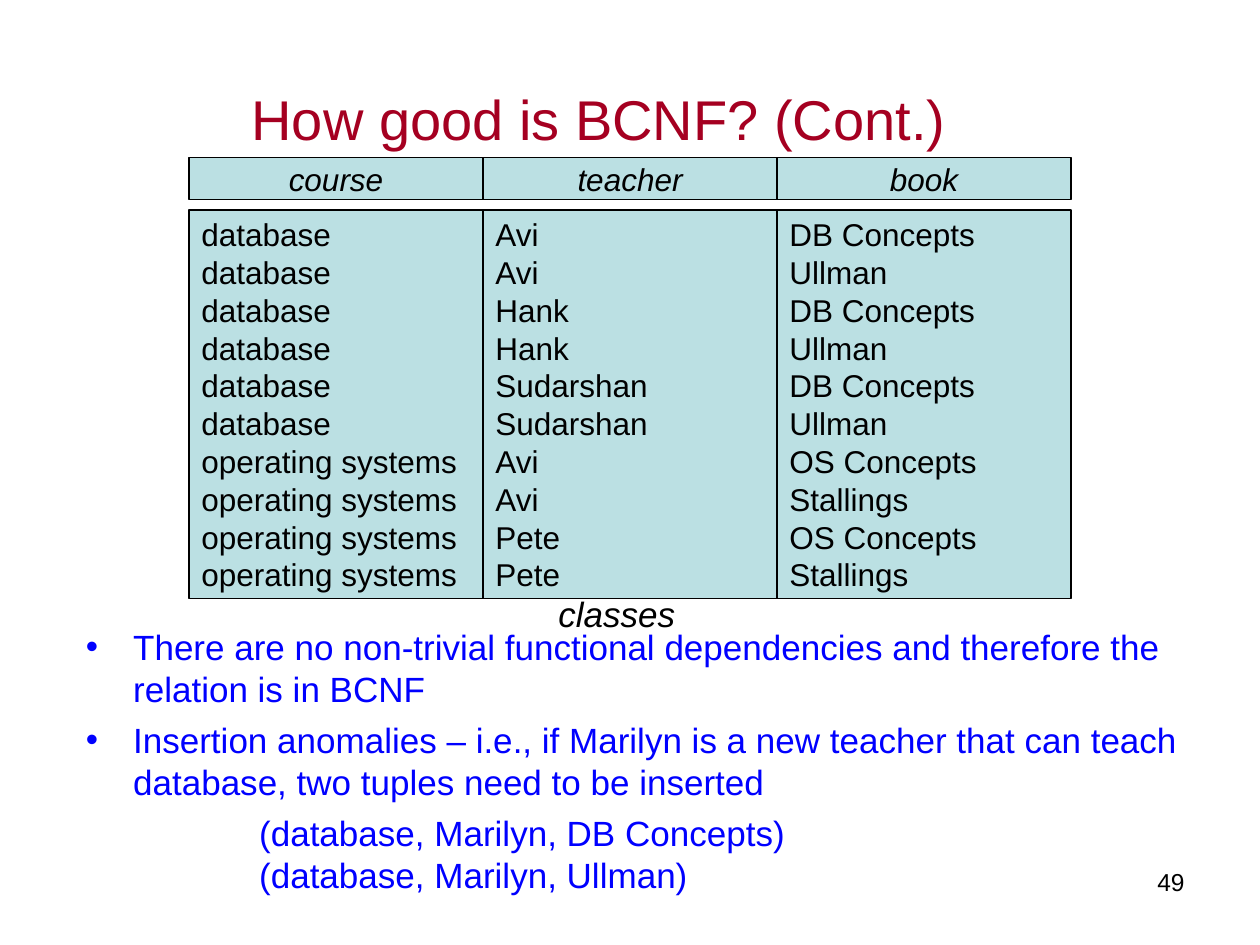
from lxml import etree
from pptx import Presentation
from pptx.dml.color import RGBColor
from pptx.enum import shapes, text
from pptx.oxml.ns import qn
from pptx.util import Pt

BLACK = RGBColor(0x00, 0x00, 0x00)
BLUE = RGBColor(0x00, 0x00, 0xFF)
CRIMSON = RGBColor(0xA5, 0x00, 0x21)
PALE_TEAL = RGBColor(0xBB, 0xE0, 0xE3)
LEFT, CENTER, RIGHT = text.PP_ALIGN.LEFT, text.PP_ALIGN.CENTER, text.PP_ALIGN.RIGHT

TITLE = "How good is BCNF? (Cont.)"
COLUMNS = {
    "course": ["database"] * 6 + ["operating systems"] * 4,
    "teacher": ["Avi", "Avi", "Hank", "Hank", "Sudarshan", "Sudarshan",
                "Avi", "Avi", "Pete", "Pete"],
    "book": ["DB Concepts", "Ullman"] * 3 + ["OS Concepts", "Stallings"] * 2,
}
RELATION = "classes"
BULLETS = [
    "There are no non-trivial functional dependencies and therefore the "
    "relation is in BCNF",
    "Insertion anomalies – i.e., if Marilyn is a new teacher that can teach "
    "database, two tuples need to be inserted",
]
TUPLES = ["(database, Marilyn, DB Concepts)", "(database, Marilyn, Ullman)"]
PAGE = "49"

TABLE_LEFT, COLUMN_WIDTH = 108, 168
HEADER_TOP, HEADER_HEIGHT = 90, 24
ROWS_TOP, ROWS_HEIGHT = 120, 222
BULLET_INDENT, TUPLE_INDENT = 27, 99
LINE_FACTOR = 1.2


def add_run(p, words, size, color, italic=False):
    r = p.add_run()
    r.text = words
    r.font.name, r.font.size, r.font.italic = "Arial", Pt(size), italic
    r.font.color.rgb = color


def write(tf, lines, size, color=BLACK, align=LEFT, italic=False):
    """Put each line in its own paragraph, with even line pitch."""
    for i, line in enumerate(lines):
        p = tf.add_paragraph() if i else tf.paragraphs[0]
        p.alignment = align
        if len(lines) > 1:
            p.line_spacing = Pt(size * LINE_FACTOR)
        add_run(p, line, size, color, italic)


def add_box(s, left, top, width, height, wrap=True):
    tf = s.shapes.add_textbox(Pt(left), Pt(top), Pt(width), Pt(height)).text_frame
    tf.word_wrap = wrap
    return tf


def add_cell(s, left, top, height, lines, **style):
    sp = s.shapes.add_shape(shapes.MSO_SHAPE.RECTANGLE, Pt(left), Pt(top),
                            Pt(COLUMN_WIDTH), Pt(height))
    sp.shadow.inherit = False
    sp.fill.solid()
    sp.fill.fore_color.rgb = PALE_TEAL
    sp.line.color.rgb = BLACK
    sp.line.width = Pt(0.75)
    tf = sp.text_frame
    tf.word_wrap = False
    tf.vertical_anchor = text.MSO_ANCHOR.MIDDLE
    write(tf, lines, 18, **style)


def set_indent(p, left, hanging=0):
    pPr = p._p.get_or_add_pPr()
    pPr.set("marL", str(Pt(left)))
    pPr.set("indent", str(-Pt(hanging)))
    return pPr


def add_bullet(p, color):
    pPr = set_indent(p, BULLET_INDENT, BULLET_INDENT)
    bu_color = etree.SubElement(pPr, qn("a:buClr"))
    etree.SubElement(bu_color, qn("a:srgbClr"), val=str(color))
    etree.SubElement(pPr, qn("a:buFont"), typeface="Arial")
    etree.SubElement(pPr, qn("a:buChar"), char="•")


prs = Presentation()
prs.slide_width, prs.slide_height = Pt(720), Pt(540)
s = prs.slides.add_slide(prs.slide_layouts[6])

write(add_box(s, 516, 492, 168, 37.5), [PAGE], 14, align=RIGHT)

body = add_box(s, 42, 354, 642, 182)
write(body, BULLETS + TUPLES[:1], 20, BLUE)
for p in body.paragraphs[1:]:
    p.space_before = Pt(5)
*bullets, tuples = body.paragraphs
for p in bullets:
    add_bullet(p, BLUE)
set_indent(tuples, TUPLE_INDENT)
for line in TUPLES[1:]:
    tuples.add_line_break()
    add_run(tuples, line, 20, BLUE)

for i, (name, values) in enumerate(COLUMNS.items()):
    left = TABLE_LEFT + i * COLUMN_WIDTH
    add_cell(s, left, HEADER_TOP, HEADER_HEIGHT, [name], align=CENTER, italic=True)
    add_cell(s, left, ROWS_TOP, ROWS_HEIGHT, values)

write(add_box(s, 312, 335, 81.5, 31.5, wrap=False), [RELATION], 20, italic=True)

title = add_box(s, 55, 32.5, 574.5, 57.5)
title.vertical_anchor = text.MSO_ANCHOR.BOTTOM
write(title, [TITLE], 32, CRIMSON, CENTER)

prs.save("out.pptx")
